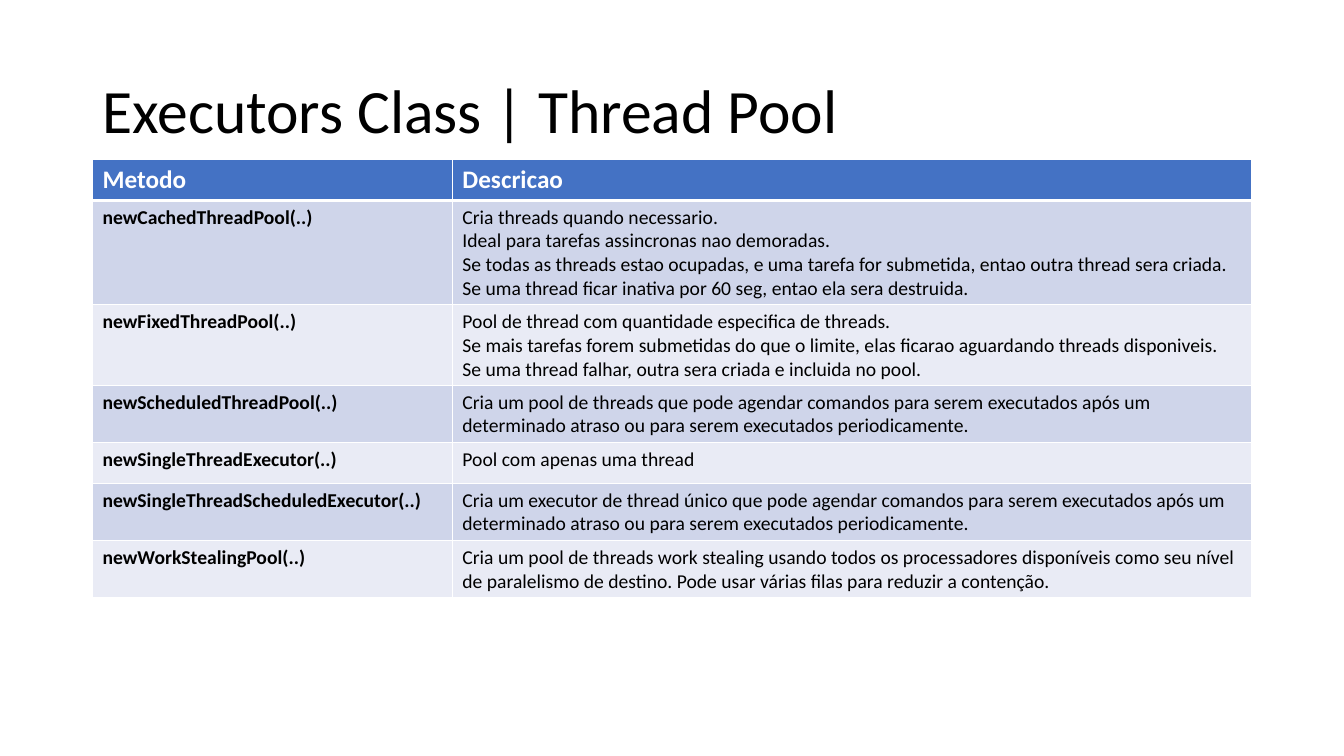
from dataclasses import dataclass

from lxml import etree
from pptx import Presentation
from pptx.dml.color import RGBColor
from pptx.enum import text as t
from pptx.oxml import ns
from pptx.slide import Slide
from pptx.table import _Cell
from pptx.util import Cm, Pt

FONT = "Calibri"
BLACK = RGBColor(0x00, 0x00, 0x00)
WHITE = RGBColor(0xFF, 0xFF, 0xFF)
HEADER_BLUE = RGBColor(0x44, 0x72, 0xC4)
BAND_DARK = RGBColor(0xCF, 0xD5, 0xEA)
BAND_LIGHT = RGBColor(0xE9, 0xEB, 0xF5)

LEFT, WIDTH = Cm(2.33), Cm(29.21)
METHOD_WIDTH = Cm(9.07)
ROW_HEIGHT = Cm(1.03)
THIN, THICK = Pt(1), Pt(3)


@dataclass(frozen=True)
class Method:
    name: str
    description: tuple[str, ...]


METHODS = (
    Method("newCachedThreadPool(..)", (
        "Cria threads quando necessario.",
        "Ideal para tarefas assincronas nao demoradas.",
        "Se todas as threads estao ocupadas, e uma tarefa for submetida, "
        "entao outra thread sera criada.",
        "Se uma thread ficar inativa por 60 seg, entao ela sera destruida.",
    )),
    Method("newFixedThreadPool(..)", (
        "Pool de thread com quantidade especifica de threads.",
        "Se mais tarefas forem submetidas do que o limite, "
        "elas ficarao aguardando threads disponiveis.",
        "Se uma thread falhar, outra sera criada e incluida no pool.",
    )),
    Method("newScheduledThreadPool(..)", (
        "Cria um pool de threads que pode agendar comandos para serem executados "
        "após um determinado atraso ou para serem executados periodicamente.",
    )),
    Method("newSingleThreadExecutor(..)", ("Pool com apenas uma thread",)),
    Method("newSingleThreadScheduledExecutor(..)", (
        "Cria um executor de thread único que pode agendar comandos para serem executados "
        "após um determinado atraso ou para serem executados periodicamente.",
    )),
    Method("newWorkStealingPool(..)", (
        "Cria um pool de threads work stealing usando todos os processadores disponíveis "
        "como seu nível de paralelismo de destino. "
        "Pode usar várias filas para reduzir a contenção.",
    )),
)


def set_borders(cell: _Cell, top: int, bottom: int) -> None:
    properties = cell._tc.get_or_add_tcPr()
    for side, width in (("L", THIN), ("R", THIN), ("T", top), ("B", bottom)):
        border = etree.SubElement(properties, ns.qn(f"a:ln{side}"), w=str(int(width)))
        fill = etree.SubElement(border, ns.qn("a:solidFill"))
        etree.SubElement(fill, ns.qn("a:srgbClr"), val=str(WHITE))


def fill_cell(cell: _Cell, lines: tuple[str, ...], size: int, bold: bool,
              ink: RGBColor, band: RGBColor) -> None:
    cell.fill.solid()
    cell.fill.fore_color.rgb = band
    cell.text = "\n".join(lines)
    for paragraph in cell.text_frame.paragraphs:
        paragraph.font.name = FONT
        paragraph.font.size = Pt(size)
        paragraph.font.bold = bold
        paragraph.font.color.rgb = ink


def add_title(slide: Slide, wording: str) -> None:
    frame = slide.shapes.add_textbox(LEFT, Cm(1.01), WIDTH, Cm(3.68)).text_frame
    frame.word_wrap = True
    frame.vertical_anchor = t.MSO_ANCHOR.MIDDLE
    title = frame.paragraphs[0]
    title.text = wording
    title.line_spacing = 0.9
    title.font.name = FONT
    title.font.size = Pt(44)
    title.font.color.rgb = BLACK


def add_methods(slide: Slide, methods: tuple[Method, ...]) -> None:
    count = len(methods) + 1
    table = slide.shapes.add_table(
        count, 2, LEFT, Cm(4.02), WIDTH, ROW_HEIGHT * count).table
    table.columns[0].width = METHOD_WIDTH
    table.columns[1].width = WIDTH - METHOD_WIDTH
    for row_index, row in enumerate(table.rows):
        row.height = ROW_HEIGHT
        for cell in row.cells:
            set_borders(cell, THICK if row_index == 1 else THIN,
                        THICK if row_index == 0 else THIN)

    for column, heading in enumerate(("Metodo", "Descricao")):
        fill_cell(table.cell(0, column), (heading,), 18, True, WHITE, HEADER_BLUE)
    for row_index, method in enumerate(methods, start=1):
        band = BAND_DARK if row_index % 2 else BAND_LIGHT
        fill_cell(table.cell(row_index, 0), (method.name,), 14, True, BLACK, band)
        fill_cell(table.cell(row_index, 1), method.description, 14, False, BLACK, band)


def main() -> None:
    deck = Presentation()
    deck.slide_width, deck.slide_height = Cm(33.87), Cm(19.05)
    slide = deck.slides.add_slide(deck.slide_layouts[6])
    add_title(slide, "Executors Class | Thread Pool")
    add_methods(slide, METHODS)
    deck.save("out.pptx")


if __name__ == "__main__":
    main()
